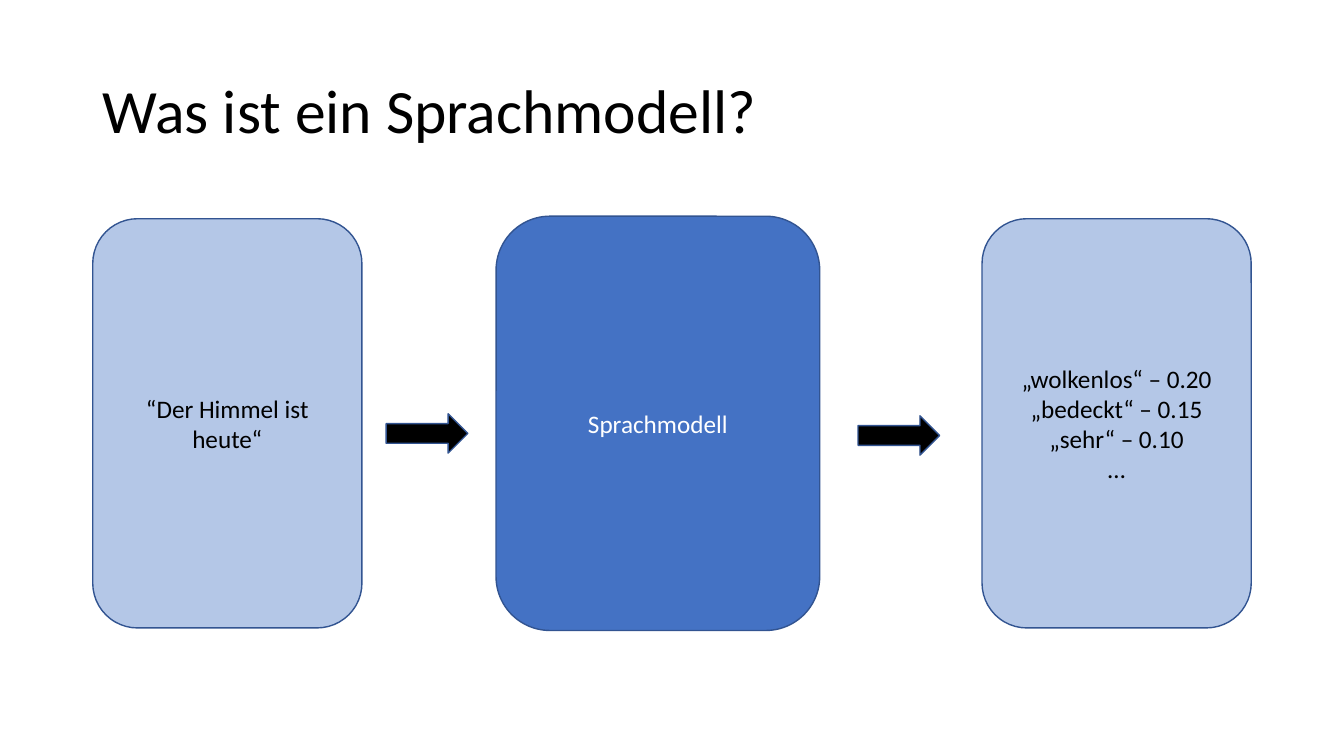
from pptx import Presentation
from pptx.dml.color import RGBColor
from pptx.enum.shapes import MSO_SHAPE as Shape
from pptx.enum.text import MSO_ANCHOR as Anchor, PP_ALIGN as Align
from pptx.util import Inches, Pt

FONT = "Calibri"
BLACK, WHITE = "000000", "FFFFFF"
BLUE, PALE_BLUE, OUTLINE = "4472C4", "B4C7E7", "325491"

# Layout in inches: margin and the centre line shared by the boxes
WIDTH, HEIGHT = 13.33, 7.5
MARGIN = 0.92
MIDDLE = 4.2
SIDE_BOX = (2.67, 4.06)
MODEL_BOX = (3.21, 4.11)
ARROW = (0.81, 0.39)


def color(hex_string):
    return RGBColor.from_string(hex_string)


def write(frame, lines, size, text_color, align, line_spacing=1.0):
    frame.word_wrap = True
    frame.vertical_anchor = Anchor.MIDDLE
    for index, line in enumerate(lines):
        paragraph = frame.paragraphs[0] if index == 0 else frame.add_paragraph()
        paragraph.alignment = align
        paragraph.line_spacing = line_spacing
        run = paragraph.add_run()
        run.text = line
        run.font.name = FONT
        run.font.size = Pt(size)
        run.font.color.rgb = color(text_color)


def add_title(slide, text):
    box = slide.shapes.add_textbox(
        Inches(MARGIN), Inches(0.4), Inches(WIDTH - 2 * MARGIN), Inches(1.45))
    write(box.text_frame, [text], 44, BLACK, Align.LEFT, 0.9)


def add_figure(slide, kind, left, middle, size, fill):
    """Add an outlined shape centred vertically on the given height."""
    width, height = size
    shape = slide.shapes.add_shape(
        kind, Inches(left), Inches(middle - height / 2),
        Inches(width), Inches(height))
    shape.shadow.inherit = False
    shape.fill.solid()
    shape.fill.fore_color.rgb = color(fill)
    shape.line.color.rgb = color(OUTLINE)
    shape.line.width = Pt(1)
    return shape


def add_box(slide, left, size, fill, lines, text_color):
    box = add_figure(slide, Shape.ROUNDED_RECTANGLE, left, MIDDLE, size, fill)
    write(box.text_frame, lines, 18, text_color, Align.CENTER)


def main():
    presentation = Presentation()
    presentation.slide_width = Inches(WIDTH)
    presentation.slide_height = Inches(HEIGHT)
    slide = presentation.slides.add_slide(presentation.slide_layouts[6])

    add_title(slide, "Was ist ein Sprachmodell?")

    # Model, its input and its predicted next words
    add_box(slide, 4.92, MODEL_BOX, BLUE, ["Sprachmodell"], WHITE)
    add_box(slide, MARGIN, SIDE_BOX, PALE_BLUE,
            ["“Der Himmel ist heute“"], BLACK)
    predictions = ["„wolkenlos“ – 0.20", "„bedeckt“ – 0.15",
                   "„sehr“ – 0.10", "…"]
    add_box(slide, WIDTH - MARGIN - SIDE_BOX[0], SIDE_BOX, PALE_BLUE,
            predictions, BLACK)

    # Arrows into and out of the model
    for left, middle in ((3.83, 4.3), (8.51, 4.32)):
        add_figure(slide, Shape.RIGHT_ARROW, left, middle, ARROW, BLACK)

    presentation.save("out.pptx")


if __name__ == "__main__":
    main()
